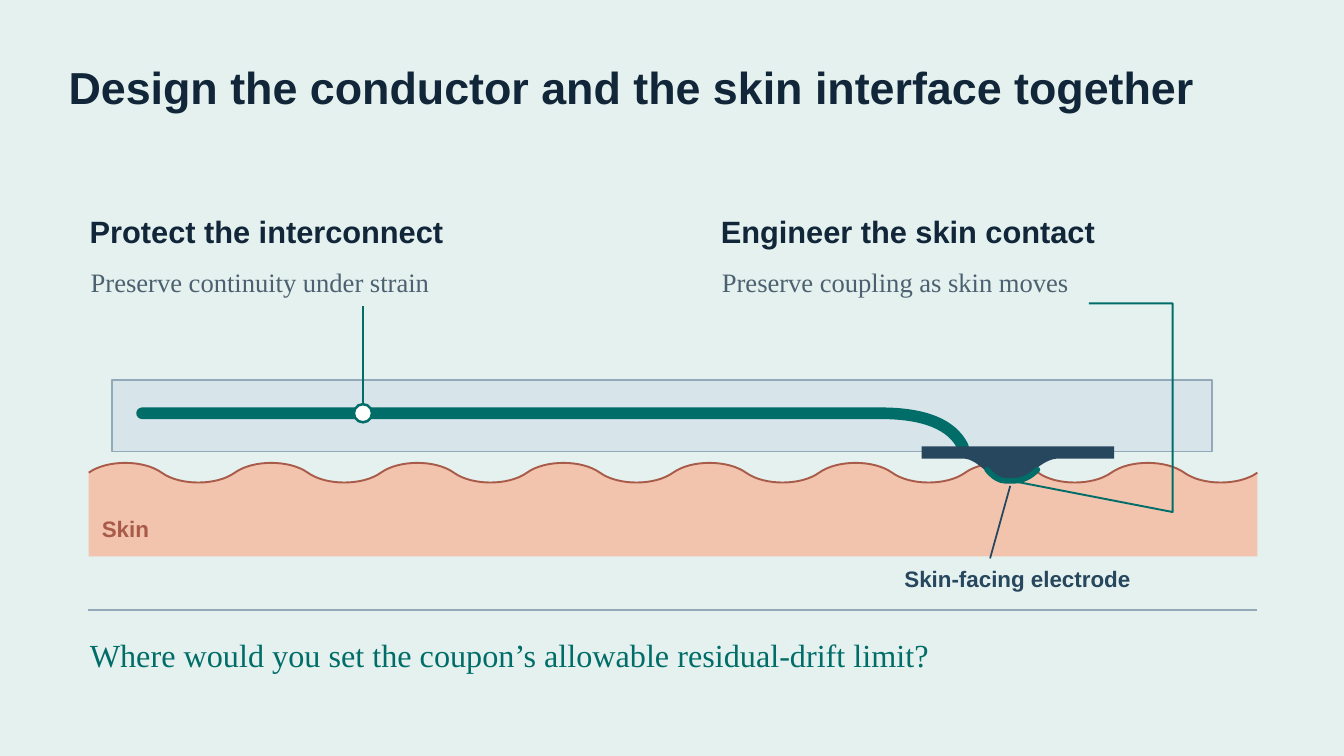
from pptx import Presentation
from pptx.dml.color import RGBColor
from pptx.enum.shapes import MSO_CONNECTOR, MSO_SHAPE
from pptx.enum.text import MSO_ANCHOR, MSO_AUTO_SIZE, PP_ALIGN
from pptx.oxml.ns import qn
from pptx.util import Inches, Pt
from lxml import etree

STRAIGHT = MSO_CONNECTOR.STRAIGHT
RECTANGLE, OVAL = MSO_SHAPE.RECTANGLE, MSO_SHAPE.OVAL
TOP, LEFT, NO_FIT = MSO_ANCHOR.TOP, PP_ALIGN.LEFT, MSO_AUTO_SIZE.NONE

SANS, SERIF = "Arial", "Times New Roman"
MINT, INK, SLATE, TEAL = "E5F1EF", "112638", "4C6170", "006D68"
SKIN, SKIN_EDGE = "F2C3AD", "A95B49"
CARRIER, CARRIER_EDGE = "D7E5EB", "93A9B7"
NAVY, WHITE = "27475E", "FFFFFF"

PAGE_WIDTH, PAGE_HEIGHT = 13.33, 7.5
SKIN_LEFT, SKIN_RIGHT, SKIN_LEVEL, SKIN_BOTTOM = 0.88, 12.47, 4.69, 5.52
HALF_WAVES, WAVE_PULL = 16, 0.13


def color(value):
    return RGBColor.from_string(value)


def format_text(box, place, text, size, font, ink, spacing, bold=False):
    box.left, box.top, box.width, box.height = (Inches(v) for v in place)
    frame = box.text_frame
    frame.auto_size, frame.word_wrap, frame.vertical_anchor = NO_FIT, True, TOP
    frame.margin_left = frame.margin_right = Inches(0.02)
    frame.margin_top = frame.margin_bottom = Inches(0.02)
    para = frame.paragraphs[0]
    para.text = text
    para.alignment, para.line_spacing = LEFT, Pt(spacing)
    para.font.name, para.font.size, para.font.bold = font, Pt(size), bold
    para.font.color.rgb = color(ink)


def add_text(page, place, *style, **options):
    box = page.shapes.add_textbox(0, 0, 0, 0)
    format_text(box, place, *style, **options)


def paint(shape, fill=None, line=None, width=1.0):
    shape.shadow.inherit = False
    if fill:
        shape.fill.solid()
        shape.fill.fore_color.rgb = color(fill)
    else:
        shape.fill.background()
    if line:
        shape.line.color.rgb = color(line)
        shape.line.width = Pt(width)
    else:
        shape.line.fill.background()


def add_preset(page, kind, place, **style):
    shape = page.shapes.add_shape(kind, *(Inches(v) for v in place))
    paint(shape, **style)
    return shape


def add_backdrop(page):
    backdrop = add_preset(page, RECTANGLE, (0, 0, PAGE_WIDTH, PAGE_HEIGHT), fill=MINT)
    page.shapes.title._element.addprevious(backdrop._element)


def add_line(page, start, end, line, width):
    connector = page.shapes.add_connector(
        STRAIGHT, *(Inches(v) for v in start + end))
    connector.line.color.rgb = color(line)
    connector.line.width = Pt(width)
    etree.SubElement(connector._element.spPr, qn("a:effectLst"))
    return connector


def add_outline(page, start, steps, close=False, round_cap=False, **style):
    """Draw line steps (x, y) and cubic curve steps (six numbers) from start."""
    builder = page.shapes.build_freeform(*(Inches(v) for v in start))
    for step in steps:
        pairs = zip(step[::2], step[1::2])
        builder.add_line_segments([(Inches(x), Inches(y)) for x, y in pairs], close=False)
    if close:
        builder.add_line_segments([], close=True)
    shape = builder.convert_to_shape()
    segments = iter(list(shape._element.iter(qn("a:lnTo"))))
    for step in steps:
        parts = [next(segments) for _ in range(len(step) // 2)]
        if len(parts) == 3:
            curve = etree.Element(qn("a:cubicBezTo"))
            parts[0].addprevious(curve)
            for part in parts:
                curve.append(part[0])
                part.getparent().remove(part)
    paint(shape, **style)
    if round_cap:
        shape.line._get_or_add_ln().set("cap", "rnd")


def wave_steps():
    half = (SKIN_RIGHT - SKIN_LEFT) / HALF_WAVES
    steps = []
    for index in range(HALF_WAVES):
        x = SKIN_LEFT + index * half
        y = SKIN_LEVEL + (WAVE_PULL if index % 2 else -WAVE_PULL)
        steps.append((x + half / 4, y, x + half * 3 / 4, y, x + half, SKIN_LEVEL))
    return steps


def add_skin(page):
    start, surface = (SKIN_LEFT, SKIN_LEVEL), wave_steps()
    floor = [(SKIN_RIGHT, SKIN_BOTTOM), (SKIN_LEFT, SKIN_BOTTOM)]
    add_outline(page, start, surface + floor, close=True, fill=SKIN)
    add_outline(page, start, surface, line=SKIN_EDGE, width=1.35)
    add_text(page, (0.99, 5.08, 1.44, 0.31), "Skin", 16, SANS, SKIN_EDGE, 20.2, bold=True)


def add_interconnect(page):
    add_preset(page, RECTANGLE, (1.11, 3.77, 10.91, 0.71),
               fill=CARRIER, line=CARRIER_EDGE, width=1.2)
    add_outline(page, (1.41, 4.1), [(8.73, 4.1), (9.17, 4.1, 9.44, 4.21, 9.55, 4.43)],
                round_cap=True, line=TEAL, width=8.3)
    leader = add_line(page, (3.6, 3.04), (3.6, 4.01), TEAL, 1.55)
    marker = add_preset(page, OVAL, (3.51, 4.01, 0.18, 0.18),
                        fill=WHITE, line=TEAL, width=1.8)
    leader.end_connect(marker, 0)


def add_electrode(page):
    body = [(11.05, 4.43), (11.05, 4.55), (10.5, 4.55),
            (10.33, 4.55, 10.22, 4.74, 10.06, 4.77), (9.97, 4.77),
            (9.82, 4.77, 9.71, 4.55, 9.55, 4.55), (9.14, 4.55)]
    add_outline(page, (9.14, 4.43), body, close=True, fill=NAVY)
    contact = [(9.85, 4.73, 9.91, 4.77, 9.97, 4.77), (10.06, 4.77),
               (10.14, 4.77, 10.22, 4.73, 10.29, 4.66)]
    add_outline(page, (9.79, 4.66), contact, round_cap=True, line=TEAL, width=4)
    add_outline(page, (10.8, 3.01), [(11.63, 3.01), (11.63, 5.08), (10.08, 4.78)],
                line=TEAL, width=1.35)
    add_text(page, (8.95, 5.57, 3.65, 0.31), "Skin-facing electrode",
             16, SANS, NAVY, 20.2, bold=True)
    add_line(page, (9.82, 5.54), (10.02, 4.82), NAVY, 1.25)


def main():
    deck = Presentation()
    deck.slide_width, deck.slide_height = Inches(PAGE_WIDTH), Inches(PAGE_HEIGHT)
    page = deck.slides.add_slide(deck.slide_layouts[5])
    add_backdrop(page)

    format_text(page.shapes.title, (0.66, 0.55, 12.02, 0.59),
                "Design the conductor and the skin interface together",
                32, SANS, INK, 40.3, bold=True)
    for left, heading, heading_width, goal, goal_width in (
            (0.87, "Protect the interconnect", 5.53,
             "Preserve continuity under strain", 5.91),
            (7.13, "Engineer the skin contact", 5.34,
             "Preserve coupling as skin moves", 5.46)):
        add_text(page, (left, 2.07, heading_width, 0.42), heading,
                 22, SANS, INK, 27.7, bold=True)
        add_text(page, (left + 0.01, 2.6, goal_width, 0.36), goal,
                 19, SERIF, SLATE, 23.8)

    add_skin(page)
    add_interconnect(page)
    add_line(page, (0.87, 6.05), (12.47, 6.05), CARRIER_EDGE, 1.2)
    add_text(page, (0.87, 6.27, 11.62, 0.45),
             "Where would you set the coupon’s allowable residual-drift limit?",
             23, SERIF, TEAL, 28.6)
    add_electrode(page)
    deck.save("out.pptx")


if __name__ == "__main__":
    main()
